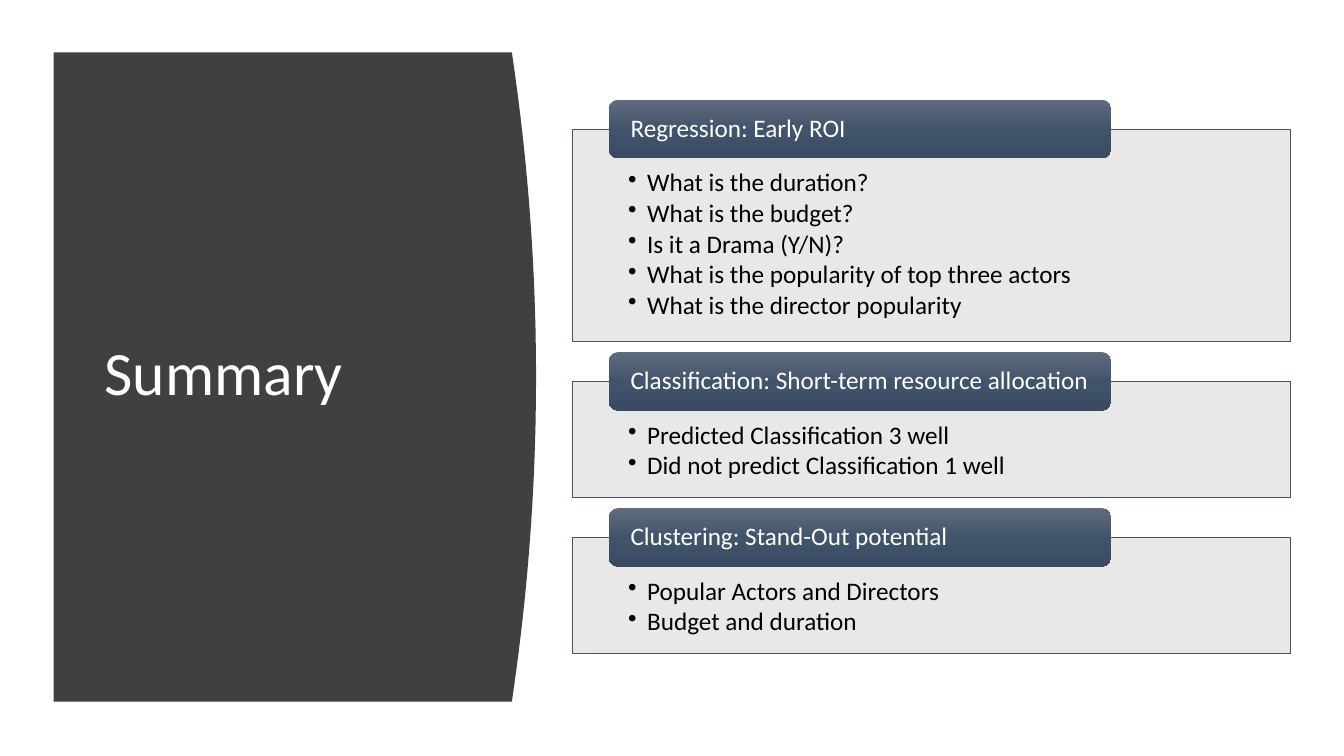
from lxml import etree
from pptx import Presentation
from pptx.dml.color import RGBColor
from pptx.enum.shapes import MSO_SHAPE
from pptx.enum.text import MSO_ANCHOR, PP_ALIGN
from pptx.oxml.ns import qn
from pptx.util import Cm, Pt

RECTANGLE = MSO_SHAPE.RECTANGLE
ROUNDED = MSO_SHAPE.ROUNDED_RECTANGLE
TOP, MIDDLE = MSO_ANCHOR.TOP, MSO_ANCHOR.MIDDLE
LEFT = PP_ALIGN.LEFT

FONT = "Calibri"
WHITE = RGBColor(0xFF, 0xFF, 0xFF)
BLACK = RGBColor(0x00, 0x00, 0x00)
CHARCOAL = RGBColor(0x40, 0x40, 0x40)
SLATE = RGBColor(0x44, 0x54, 0x6A)
PALE_GREY = RGBColor(0xE7, 0xE6, 0xE6)
TAB_GRADIENT = [
    (0, RGBColor(0x60, 0x6B, 0x7D)),
    (50, RGBColor(0x42, 0x54, 0x6C)),
    (100, RGBColor(0x39, 0x4A, 0x62)),
]

# Section layout in centimetres
FIRST_PANEL_TOP = 3.25
PANEL_GAP = 1.0
PANEL_PADDING = 1.31
LINE_HEIGHT = 0.81
TAB_HEIGHT = 1.48

SECTIONS = [
    ("Regression: Early ROI", [
        "What is the duration?",
        "What is the budget?",
        "Is it a Drama (Y/N)?",
        "What is the popularity of top three actors",
        "What is the director popularity",
    ]),
    ("Classification: Short-term resource allocation", [
        "Predicted Classification 3 well",
        "Did not predict Classification 1 well",
    ]),
    ("Clustering: Stand-Out potential", [
        "Popular Actors and Directors",
        "Budget and duration",
    ]),
]


def set_frame(frame, anchor, left, top, right, bottom):
    frame.word_wrap = True
    frame.vertical_anchor = anchor
    frame.margin_left, frame.margin_top = Cm(left), Cm(top)
    frame.margin_right, frame.margin_bottom = Cm(right), Cm(bottom)


def write_lines(frame, lines, size, color, space_after=0):
    for index, line in enumerate(lines):
        para = frame.paragraphs[0] if index == 0 else frame.add_paragraph()
        para.text = line
        para.alignment = LEFT
        para.line_spacing = 0.9
        para.space_after = Pt(space_after)
        para.font.name = FONT
        para.font.size = Pt(size)
        para.font.color.rgb = color


def add_bullet(para):
    properties = para._p.get_or_add_pPr()
    properties.set("marL", str(Cm(0.48)))
    properties.set("indent", str(-Cm(0.48)))
    bullet = etree.Element(qn("a:buChar"), char="•")
    properties.insert_element_before(bullet, "a:tabLst", "a:defRPr", "a:extLst")


def set_opacity(shape, percent):
    color = shape._element.spPr.find(qn("a:solidFill"))[0]
    etree.SubElement(color, qn("a:alpha"), val=str(percent * 1000))


def set_gradient(shape, stops):
    shape.fill.gradient()
    shape.fill.gradient_angle = 270
    stop_list = shape._element.spPr.find(qn("a:gradFill")).find(qn("a:gsLst"))
    stop_list.clear()
    for position, color in stops:
        stop = etree.SubElement(stop_list, qn("a:gs"), pos=str(position * 1000))
        etree.SubElement(stop, qn("a:srgbClr"), val=str(color))


def add_title_panel(page):
    """Dark panel whose right edge bows outwards as a parabola."""
    left, top, right, bottom, bulge, steps = 1.35, 1.32, 12.9, 17.68, 0.61, 40
    curve = []
    for step in range(steps + 1):
        share = step / steps
        x = right + bulge * (1 - (2 * share - 1) ** 2)
        curve.append((Cm(x), Cm(top + (bottom - top) * share)))
    builder = page.shapes.build_freeform(Cm(left), Cm(top))
    builder.add_line_segments(curve + [(Cm(left), Cm(bottom))], close=True)
    panel = builder.convert_to_shape()
    panel.shadow.inherit = False
    panel.fill.solid()
    panel.fill.fore_color.rgb = CHARCOAL
    panel.line.fill.background()


def add_title(page, text):
    box = page.shapes.add_textbox(Cm(2.39), Cm(2.82), Cm(9.5), Cm(13.31))
    set_frame(box.text_frame, MIDDLE, 0.25, 0.13, 0.25, 0.13)
    write_lines(box.text_frame, [text], 44, WHITE)


def add_panel(page, top, height, points):
    panel = page.shapes.add_shape(
        RECTANGLE, Cm(14.43), Cm(top), Cm(18.08), Cm(height))
    panel.shadow.inherit = False
    panel.fill.solid()
    panel.fill.fore_color.rgb = PALE_GREY
    set_opacity(panel, 90)
    panel.line.color.rgb = SLATE
    panel.line.width = Pt(0.5)
    set_frame(panel.text_frame, TOP, 1.4, 1.04, 1.4, 0.36)
    write_lines(panel.text_frame, points, 18, BLACK, space_after=2.4)
    for para in panel.text_frame.paragraphs:
        add_bullet(para)


def add_tab(page, top, heading):
    tab = page.shapes.add_shape(
        ROUNDED, Cm(15.34), Cm(top), Cm(12.67), Cm(TAB_HEIGHT))
    tab.shadow.inherit = False
    set_gradient(tab, TAB_GRADIENT)
    tab.line.fill.background()
    set_frame(tab.text_frame, MIDDLE, 0.48, 0, 0.3, 0)
    write_lines(tab.text_frame, [heading], 18, WHITE)


def main():
    deck = Presentation()
    deck.slide_width, deck.slide_height = Cm(33.87), Cm(19.05)
    page = deck.slides.add_slide(deck.slide_layouts[6])

    # Title side
    add_title_panel(page)
    add_title(page, "Summary")

    # Sections: each panel grows with its number of points
    top = FIRST_PANEL_TOP
    for heading, points in SECTIONS:
        height = PANEL_PADDING + LINE_HEIGHT * len(points)
        add_panel(page, top, height, points)
        add_tab(page, top - TAB_HEIGHT / 2, heading)
        top += height + PANEL_GAP

    deck.save("out.pptx")


if __name__ == "__main__":
    main()
